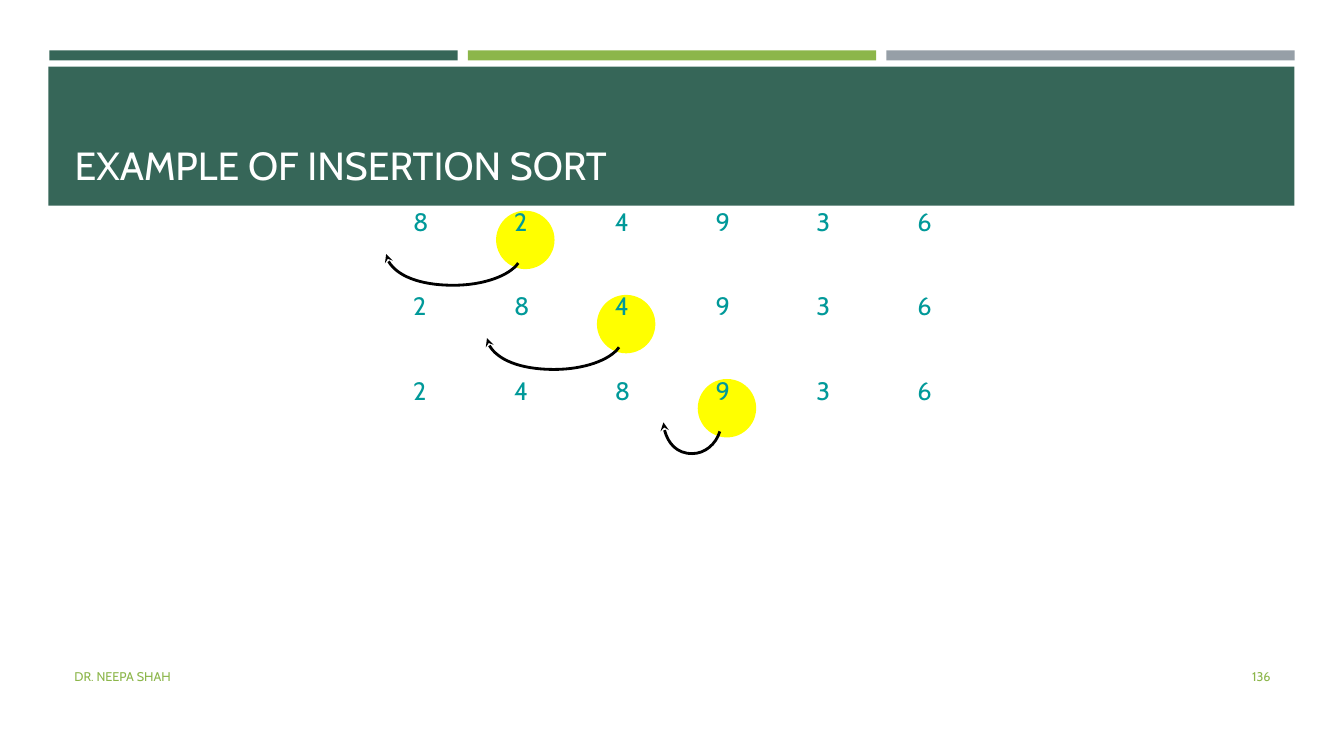
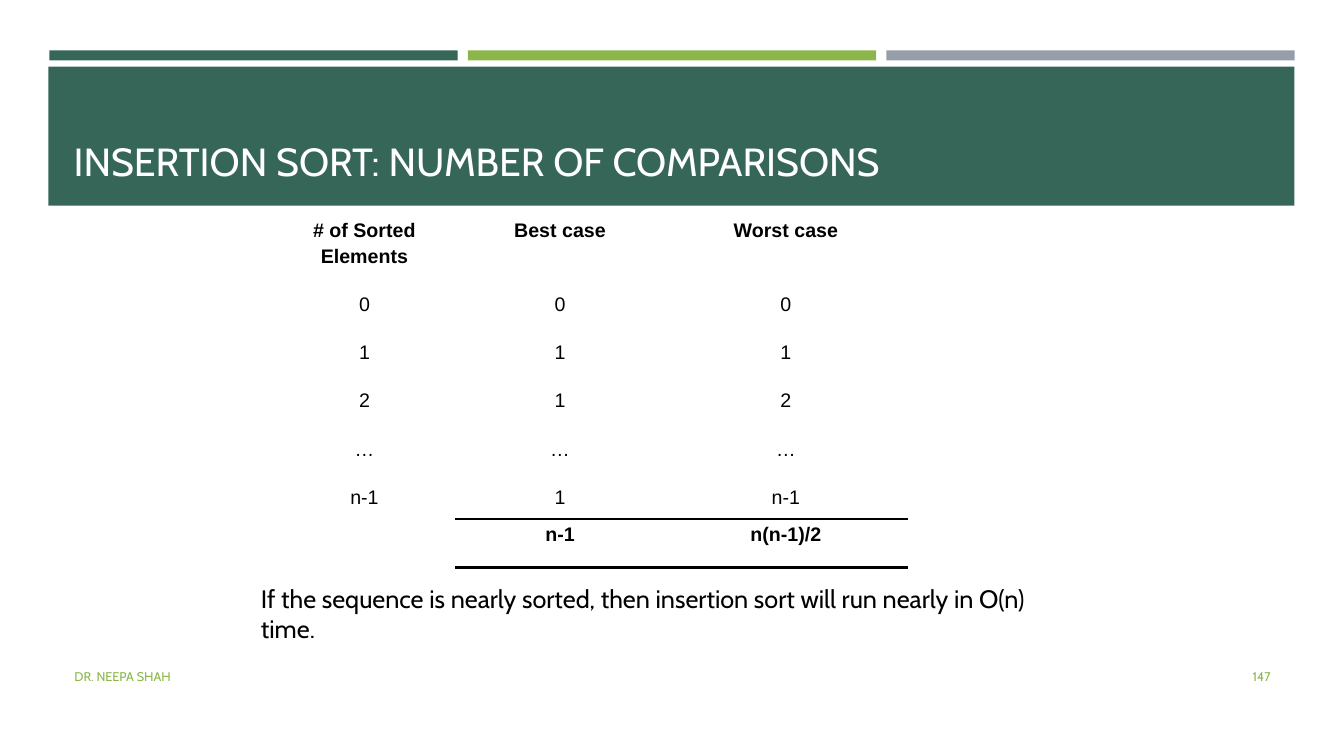
from lxml import etree
from pptx import Presentation
from pptx import util as u
from pptx.dml.color import RGBColor
from pptx.enum import shapes, text
from pptx.oxml.ns import qn

COLORS = {
    "band": "366658", "accent": "8CB64A", "grey": "969FA7", "white": "FFFFFF",
    "digit": "009999", "highlight": "FFFF00", "ink": "000000",
}
BODY_FONT, TABLE_FONT = "Cabin", "Arial"
TITLE_ONLY = 5

# Grid of the sorting steps: one column per number, one row per step
GRID_LEFT, GRID_TOP = 4, 2
COL_PITCH, ROW_PITCH = 1, 0.835

# Start and two cubic curves of an arc: share of its width, drop below the row
ARC = [(1, 0.61), (0.93, 0.74), (0.73, 0.83), (0.51, 0.83),
       (0.24, 0.83), (0.01, 0.69), (0, 0.52)]

# Numbers, index of the number being inserted, width of its arc
STEPS = [
    ("824936", 1, 1.31),
    ("284936", 2, 1.31),
    ("248936", 3, 0.56),
]

COMPARISONS = [
    ("# of Sorted\nElements", "Best case", "Worst case"),
    ("0", "0", "0"),
    ("1", "1", "1"),
    ("2", "1", "2"),
    ("…", "…", "…"),
    ("n-1", "1", "n-1"),
    ("", "n-1", "n(n-1)/2"),
]
COL_WIDTHS = [1.81, 2.07, 2.41]
ROW_HEIGHTS = [0.73, 0.48, 0.48, 0.48, 0.48, 0.37, 0.48]


def color(name):
    return RGBColor.from_string(COLORS[name])


def box(left, top, width, height):
    return [u.Inches(length) for length in (left, top, width, height)]


def add_run(paragraph, words, size, ink, font=BODY_FONT, bold=False):
    run = paragraph.add_run()
    run.text = words
    run.font.size, run.font.name, run.font.bold = u.Pt(size), font, bold
    run.font.color.rgb = color(ink)


def add_text(parent, bounds, words, size, ink, wrap=True,
             anchor=text.MSO_ANCHOR.TOP, align=text.PP_ALIGN.LEFT):
    frame = parent.add_textbox(*box(*bounds)).text_frame
    frame.word_wrap, frame.vertical_anchor = wrap, anchor
    frame.paragraphs[0].alignment = align
    add_run(frame.paragraphs[0], words, size, ink)


def add_filled(parent, preset, bounds, fill):
    filled = parent.add_shape(preset, *box(*bounds))
    filled.shadow.inherit = False
    filled.fill.solid()
    filled.fill.fore_color.rgb = color(fill)
    filled.line.fill.background()
    return filled


# Shared parts
def move_bands_to_layout(slide):
    """Draw the header bands and hand them to the layout all slides use."""
    bands = [((0.49 + 4.15 * i, 0.5, 4.05, 0.1), fill)
             for i, fill in enumerate(("band", "accent", "grey"))]
    bands.append(((0.48, 0.66, 12.36, 1.38), "band"))
    for number, (bounds, fill) in enumerate(bands, start=101):
        band = add_filled(slide.shapes, shapes.MSO_SHAPE.RECTANGLE, bounds, fill)
        band.element.xpath("./p:nvSpPr/p:cNvPr")[0].set("id", str(number))
        slide.slide_layout.shapes.element.append(band.element)


def add_slide(deck, title, title_bounds, page):
    slide = deck.slides.add_slide(deck.slide_layouts[TITLE_ONLY])
    heading = slide.shapes.title
    heading.left, heading.top, heading.width, heading.height = box(*title_bounds)
    frame = heading.text_frame
    frame.auto_size = text.MSO_AUTO_SIZE.NONE
    frame.vertical_anchor = text.MSO_ANCHOR.BOTTOM
    frame.paragraphs[0].alignment = text.PP_ALIGN.LEFT
    add_run(frame.paragraphs[0], title, 28, "white")

    # Footer
    middle = text.MSO_ANCHOR.MIDDLE
    add_text(slide.shapes, (0.64, 6.51, 7.56, 0.4), "DR. NEEPA SHAH", 9, "accent",
             anchor=middle)
    add_text(slide.shapes, (11.55, 6.51, 1.15, 0.4), page, 9, "accent",
             anchor=middle, align=text.PP_ALIGN.RIGHT)
    return slide


# Sorting steps
def add_arc(parent, right, top, width):
    points = [(u.Inches(right - width * (1 - share)), u.Inches(top + drop))
              for share, drop in ARC]
    builder = parent.build_freeform(*points[0])
    builder.add_line_segments(points[1:], close=False)
    arc = builder.convert_to_shape()
    arc.shadow.inherit = False
    arc.fill.background()
    arc.line.width = u.Pt(2)
    arc.line.color.rgb = color("ink")

    # Join every three segments into one cubic curve
    segments = arc.element.xpath(".//a:lnTo")
    outline = segments[0].getparent()
    for first in range(0, len(segments), 3):
        curve = etree.SubElement(outline, qn("a:cubicBezTo"))
        for segment in segments[first:first + 3]:
            curve.append(segment[0])
            outline.remove(segment)
    line = arc.element.xpath("./p:spPr/a:ln")[0]
    etree.SubElement(line, qn("a:tailEnd"), type="stealth")


def add_step(slide, row, numbers, inserted, arc_width):
    step = slide.shapes.add_group_shape().shapes
    top = GRID_TOP + row * ROW_PITCH
    current = GRID_LEFT + inserted * COL_PITCH
    add_filled(step, shapes.MSO_SHAPE.OVAL,
               (current - 0.08, top + 0.09, 0.58, 0.58), "highlight")
    for column, number in enumerate(numbers):
        add_text(step, (GRID_LEFT + column * COL_PITCH, top, 0.33, 0.4),
                 number, 18, "digit", wrap=False)
    add_arc(step, current + 0.14, top, arc_width)


# Comparison table
def add_border(cell, side, width):
    border = etree.SubElement(cell._tc.get_or_add_tcPr(), qn(f"a:{side}"),
                              w=str(u.Pt(width)))
    fill = etree.SubElement(border, qn("a:solidFill"))
    etree.SubElement(fill, qn("a:srgbClr"), val=COLORS["ink"])


def fill_cell(cell, words, bold):
    cell.fill.background()
    for i, line in enumerate(words.split("\n") if words else []):
        paragraph = cell.text_frame.add_paragraph() if i else cell.text_frame.paragraphs[0]
        paragraph.alignment = text.PP_ALIGN.CENTER
        if i:
            paragraph.space_before = u.Pt(2.8)
        add_run(paragraph, line, 14, "ink", TABLE_FONT, bold)


def add_comparisons(slide):
    bounds = box(2.71, 2.13, sum(COL_WIDTHS), sum(ROW_HEIGHTS))
    table = slide.shapes.add_table(len(COMPARISONS), len(COL_WIDTHS), *bounds).table
    table.first_row = table.horz_banding = False
    for column, width in zip(table.columns, COL_WIDTHS):
        column.width = u.Inches(width)
    for row, height in zip(table.rows, ROW_HEIGHTS):
        row.height = u.Inches(height)

    # Rules around the totals
    total = len(COMPARISONS) - 1
    for column in range(1, len(COL_WIDTHS)):
        add_border(table.cell(total - 1, column), "lnB", 1)
        add_border(table.cell(total, column), "lnT", 1)
        add_border(table.cell(total, column), "lnB", 2.25)

    for r, row in enumerate(COMPARISONS):
        for c, words in enumerate(row):
            fill_cell(table.cell(r, c), words, bold=r in (0, total))


def main():
    deck = Presentation()
    deck.slide_width, deck.slide_height = u.Inches(13.33), u.Inches(7.5)

    # Example
    example = add_slide(deck, "EXAMPLE OF INSERTION SORT", (0.64, 0.75, 9, 1.17), "136")
    move_bands_to_layout(example)
    for row, step in enumerate(STEPS):
        add_step(example, row, *step)

    # Number of comparisons
    counts = add_slide(deck, "INSERTION SORT: NUMBER OF COMPARISONS",
                       (0.63, 0.8, 12.06, 1.08), "147")
    add_comparisons(counts)
    add_text(counts.shapes, (2.49, 5.74, 8.33, 0.4),
             "If the sequence is nearly sorted, then insertion sort will run "
             "nearly in O(n) time.", 18, "ink")

    deck.save("out.pptx")


if __name__ == "__main__":
    main()
